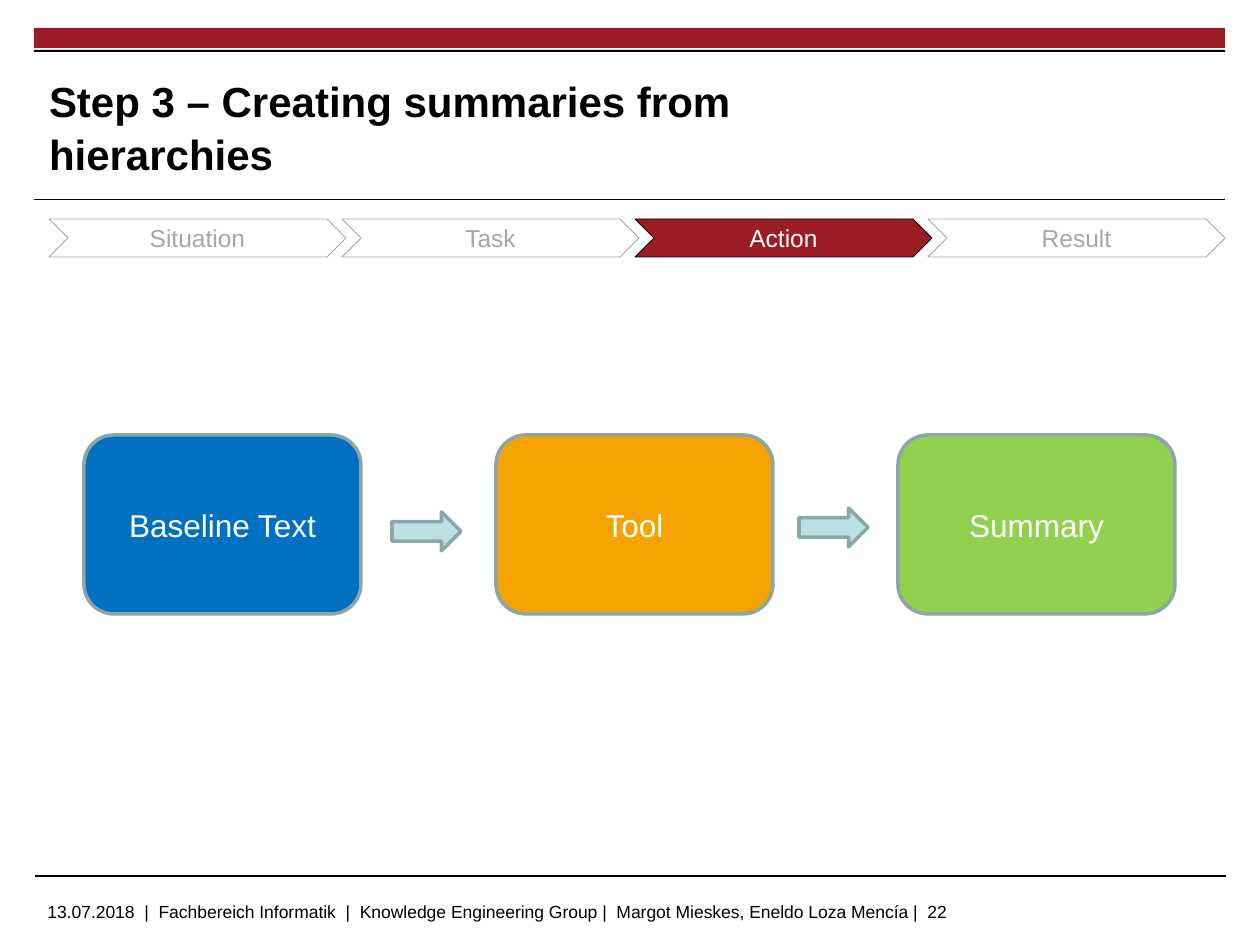
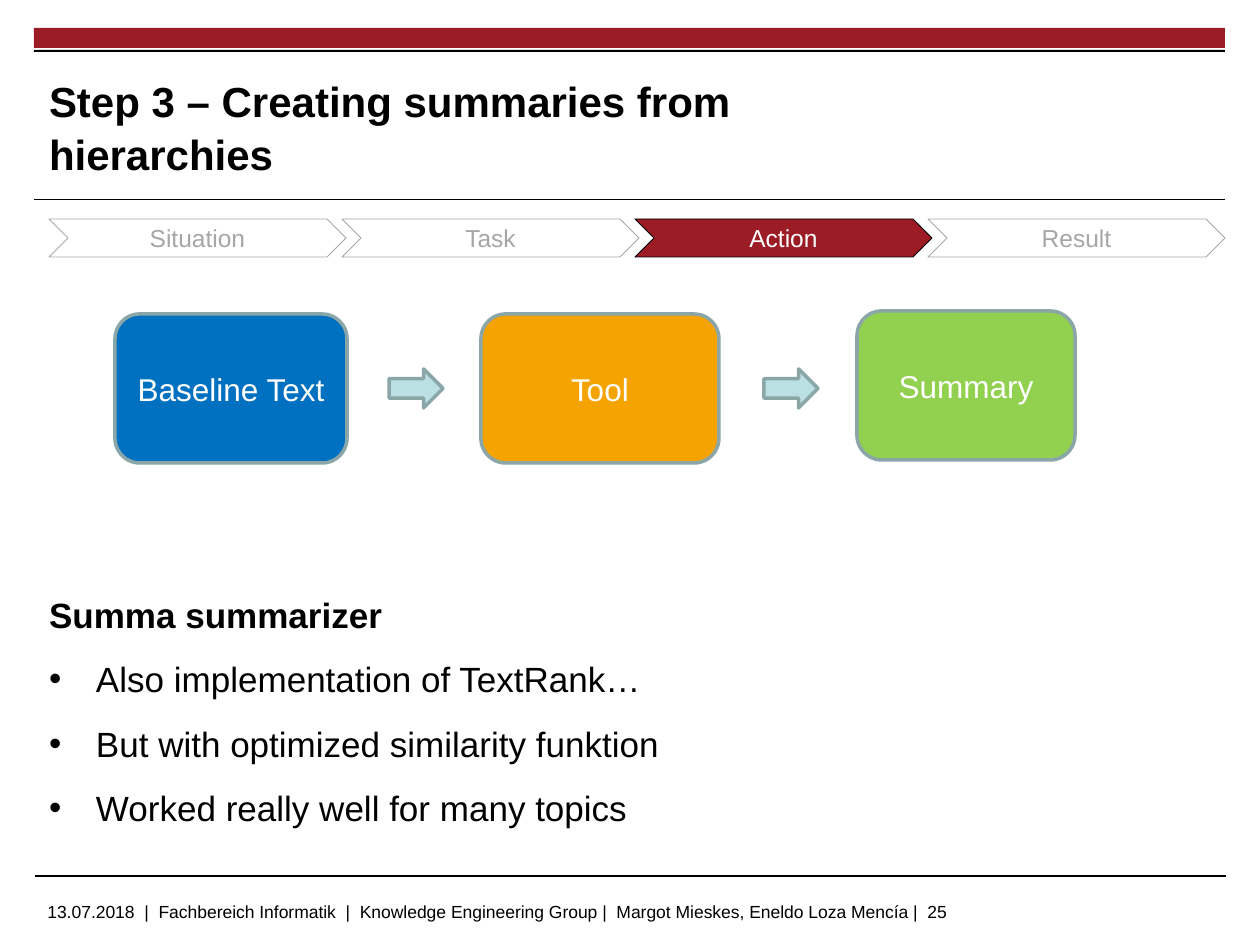
from pptx import Presentation
from pptx.dml.color import RGBColor
from pptx.enum.shapes import MSO_CONNECTOR, MSO_SHAPE
from pptx.enum.text import MSO_ANCHOR, PP_ALIGN
from pptx.oxml.ns import qn
from pptx.util import Emu, Pt
from lxml.etree import SubElement

PX_PER_INCH = 126
FONT = "Arial"
RED, BLACK, WHITE, GREY = "9C1C26", "000000", "FFFFFF", "A6A6A6"
BLUE, ORANGE, GREEN = "0070C0", "F5A300", "92D050"
ARROW_FILL, FLOW_EDGE = "BBE0E3", "8AA6A8"

TITLE = "Step 3 – Creating summaries from hierarchies"
FOOTER = ("13.07.2018  |  Fachbereich Informatik  |  Knowledge Engineering Group |"
          "  Margot Mieskes, Eneldo Loza Mencía |  {}")
STAGES = ["Situation", "Task", "Action", "Result"]
FLOW_STEPS = [("Baseline Text", BLUE), ("Tool", ORANGE), ("Summary", GREEN)]
FINDINGS = ["Also implementation of TextRank…",
            "But with optimized similarity funktion",
            "Worked really well for many topics"]


def px(length):
    return Emu(round(length * 914400 / PX_PER_INCH))


def color(hex_code):
    return RGBColor.from_string(hex_code)


def write(para, text, size=18, ink=BLACK, bold=False, align=PP_ALIGN.LEFT,
          spacing=None, before=None, after=None):
    para.alignment = align
    para.line_spacing = spacing
    if before is not None:
        para.space_before = Pt(before)
    if after is not None:
        para.space_after = Pt(after)
    span = para.add_run()
    span.text = text
    span.font.name = FONT
    span.font.size = Pt(size)
    span.font.bold = bold
    span.font.color.rgb = color(ink)


def add_box(page, kind, box, fill, edge=None, edge_width=1, text=None, **text_format):
    shape = page.shapes.add_shape(kind, *map(px, box))
    shape.shadow.inherit = False
    shape.fill.solid()
    shape.fill.fore_color.rgb = color(fill)
    if edge:
        shape.line.color.rgb = color(edge)
        shape.line.width = Pt(edge_width)
    else:
        shape.line.fill.background()
    if text:
        frame = shape.text_frame
        frame.vertical_anchor = MSO_ANCHOR.MIDDLE
        write(frame.paragraphs[0], text, align=PP_ALIGN.CENTER, **text_format)
    return shape


def add_rule(page, left, top, width):
    rule = page.shapes.add_connector(MSO_CONNECTOR.STRAIGHT, px(left), px(top),
                                     px(left + width), px(top))
    rule.line.color.rgb = color(BLACK)
    rule.line.width = Pt(0.6)
    SubElement(rule.element.spPr, qn("a:effectLst"))


def add_text_box(page, box):
    frame = page.shapes.add_textbox(*map(px, box)).text_frame
    frame.word_wrap = True
    return frame


def add_header(page, left, top, width):
    # Red band with a thin black bar, title and rule below
    add_box(page, MSO_SHAPE.RECTANGLE, (left, top, width, 20), RED)
    add_box(page, MSO_SHAPE.RECTANGLE, (left, top + 22, width, 2), BLACK)
    add_rule(page, left, top + 172, width)

    title = page.shapes.title
    title.left, title.top, title.width, title.height = map(
        px, (left + 15, top + 40, 915, 116))
    frame = title.text_frame
    frame.margin_left = frame.margin_right = frame.margin_top = frame.margin_bottom = 0
    frame.vertical_anchor = MSO_ANCHOR.MIDDLE
    write(frame.paragraphs[0], TITLE, size=24, bold=True, spacing=1.06)


def add_footer(page, left, top, width, number):
    add_rule(page, left, top, width)
    frame = add_text_box(page, (left, top + 19, 993, 31))
    write(frame.paragraphs[0], FOOTER.format(number), size=10)


def add_stages(page, left, top, active):
    # Chevrons overlap slightly, the active one is red
    for index, stage in enumerate(STAGES):
        fill, edge, ink = (RED, BLACK, WHITE) if stage == active else (WHITE, GREY, GREY)
        add_box(page, MSO_SHAPE.CHEVRON, (left + index * 293, top, 297, 38), fill,
                edge, 0.5, stage, size=14, ink=ink)


def add_flow(page, left, top, height, steps, arrows, arrow_width):
    # Steps are (x, y, width) and arrows (x, y), all relative to the flow's corner
    for (name, fill), (x, y, width) in zip(FLOW_STEPS, steps):
        add_box(page, MSO_SHAPE.ROUNDED_RECTANGLE, (left + x, top + y, width, height),
                fill, FLOW_EDGE, 2, name, ink=WHITE)
    for x, y in arrows:
        add_box(page, MSO_SHAPE.RIGHT_ARROW, (left + x, top + y, arrow_width, 39),
                ARROW_FILL, FLOW_EDGE, 2)


def add_findings(page, left, top, width, height):
    frame = add_text_box(page, (left, top, width, height))
    frame.margin_left = frame.margin_right = frame.margin_top = 0
    rhythm = dict(size=20, spacing=1.3, before=2, after=3.5)
    write(frame.paragraphs[0], "Summa summarizer", bold=True, **rhythm)
    for finding in FINDINGS:
        para = frame.add_paragraph()
        write(para, finding, **rhythm)
        properties = para._p.get_or_add_pPr()
        properties.set("marL", str(px(47)))
        properties.set("indent", str(-px(47)))
        SubElement(properties, qn("a:buFont"), typeface=FONT)
        SubElement(properties, qn("a:buChar"), char="•")


def add_page(deck, number):
    page = deck.slides.add_slide(deck.slide_layouts[5])
    add_header(page, 34, 28, 1191)
    add_footer(page, 35, 876, 1191, number)
    add_stages(page, 49, 219, active="Action")
    return page


def main():
    deck = Presentation()
    deck.slide_width, deck.slide_height = px(1260), px(945)

    # Overview of the flow
    overview = add_page(deck, 22)
    add_flow(overview, 84, 435, 179, steps=[(0, 0, 277), (412, 0, 277), (814, 0, 277)],
             arrows=[(308, 77), (715, 73)], arrow_width=69)

    # Flow with the findings about the summarizer
    summarizer = add_page(deck, 25)
    add_flow(summarizer, 115, 314, 149, steps=[(0, 0, 232), (366, 0, 238), (742, -3, 218)],
             arrows=[(274, 55), (649, 55)], arrow_width=54)
    add_findings(summarizer, 49, 581, 1176, 259)

    deck.save("out.pptx")


if __name__ == "__main__":
    main()
